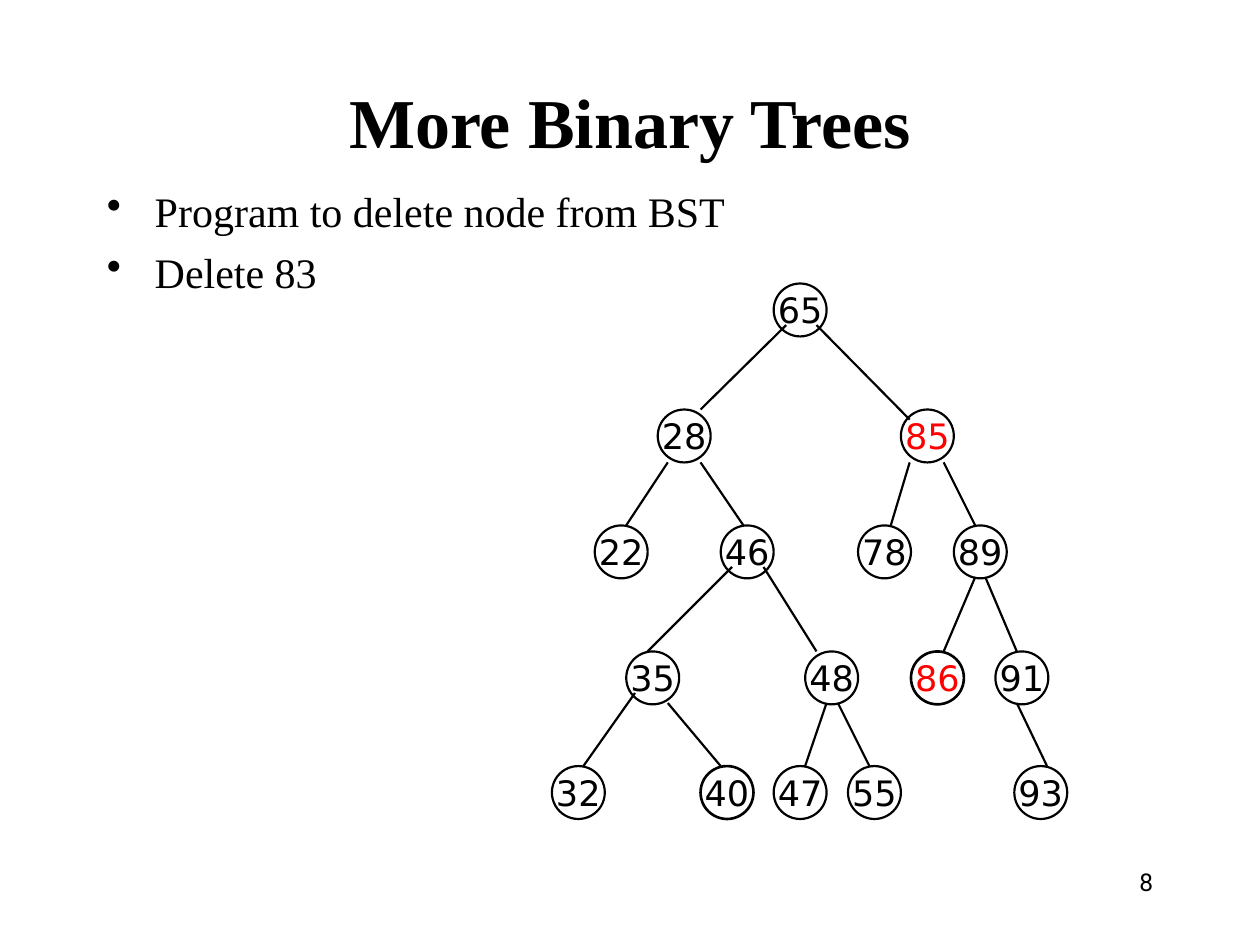
"""Build the slide about deleting a node from a binary search tree."""
import pptx
import pptx.dml.color
import pptx.enum.shapes
import pptx.enum.text
import pptx.oxml
import pptx.oxml.ns
import pptx.util

Inches = pptx.util.Inches
Pt = pptx.util.Pt
ALIGN = pptx.enum.text.PP_ALIGN
MIDDLE = pptx.enum.text.MSO_ANCHOR.MIDDLE
BLACK = pptx.dml.color.RGBColor(0, 0, 0)
RED = pptx.dml.color.RGBColor(255, 0, 0)
SERIF = "Times New Roman"
NODE_SIZE = 0.42

LEVELS = [
    (2.25, {65: 6.14}),
    (3.25, {28: 5.22, 85: 7.15}),
    (4.17, {22: 4.72, 46: 5.72, 78: 6.81, 89: 7.57}),
    (5.17, {35: 4.97, 48: 6.39, 86: 7.23, 91: 7.9}),
    (6.08, {32: 4.38, 40: 5.56, 47: 6.14, 55: 6.73, 93: 8.05}),
]
CHANGED = {85, 86}
HEAVY = {40, 86}

EDGES = [
    (6.24, 2.58, 5.56, 3.25), (6.48, 2.58, 7.22, 3.33),
    (5.3, 3.67, 4.97, 4.17), (5.56, 3.67, 5.9, 4.17),
    (7.22, 3.67, 7.07, 4.17), (7.49, 3.67, 7.74, 4.17),
    (5.81, 4.5, 5.14, 5.17), (6.06, 4.5, 6.48, 5.17),
    (7.74, 4.58, 7.49, 5.17), (7.82, 4.58, 8.07, 5.17),
    (5.04, 5.5, 4.63, 6.08), (5.3, 5.58, 5.72, 6.08),
    (6.56, 5.58, 6.39, 6.08), (6.65, 5.58, 6.9, 6.08),
    (8.07, 5.58, 8.31, 6.08),
]


def write(paragraph, text, font=SERIF, size=24, color=BLACK, bold=False, align=ALIGN.LEFT):
    """Add formatted text to a paragraph."""
    paragraph.alignment = align
    run = paragraph.add_run()
    run.text = text
    run.font.name = font
    run.font.size = Pt(size)
    run.font.bold = bold
    run.font.color.rgb = color


def place(shape, left, top, width, height):
    """Set the position and size of a shape."""
    shape.left, shape.top = Inches(left), Inches(top)
    shape.width, shape.height = Inches(width), Inches(height)


def add_title(slide, text):
    """Fill and format the title placeholder."""
    title = slide.shapes.title
    place(title, 0.75, 0.67, 8.5, 0.58)
    frame = title.text_frame
    frame.auto_size = pptx.enum.text.MSO_AUTO_SIZE.NONE
    frame.vertical_anchor = MIDDLE
    write(frame.paragraphs[0], text, size=40, bold=True, align=ALIGN.CENTER)


def add_text_frame(slide, left, top, width, height):
    """Add a wrapping text box and return its frame."""
    box = slide.shapes.add_textbox(Inches(left), Inches(top), Inches(width), Inches(height))
    box.text_frame.word_wrap = True
    return box.text_frame


def add_bullets(slide, items):
    """Add the bulleted list."""
    frame = add_text_frame(slide, 0.75, 1.42, 8.5, 5.25)
    for index, item in enumerate(items):
        paragraph = frame.add_paragraph() if index else frame.paragraphs[0]
        paragraph.space_before = Pt(6)
        write(paragraph, item)
        properties = paragraph._p.get_or_add_pPr()
        properties.set("marL", str(Inches(0.38)))
        properties.set("indent", str(-Inches(0.38)))
        bullet = pptx.oxml.parse_xml(f'<a:buChar {pptx.oxml.ns.nsdecls("a")} char="•"/>')
        properties.append(bullet)


def add_node(slide, key, left, top):
    """Add one tree node with its key."""
    node = slide.shapes.add_shape(
        pptx.enum.shapes.MSO_SHAPE.OVAL,
        Inches(left), Inches(top), Inches(NODE_SIZE), Inches(NODE_SIZE))
    node.shadow.inherit = False
    node.fill.background()
    node.line.color.rgb = BLACK
    node.line.width = Pt(1.5 if key in HEAVY else 1.25)
    frame = node.text_frame
    frame.word_wrap = False
    frame.vertical_anchor = MIDDLE
    write(frame.paragraphs[0], str(key), font="DejaVu Sans", size=20,
          color=RED if key in CHANGED else BLACK, align=ALIGN.CENTER)


def add_edge(slide, *ends):
    """Add a line from a parent to its child."""
    edge = slide.shapes.add_connector(
        pptx.enum.shapes.MSO_CONNECTOR.STRAIGHT, *map(Inches, ends))
    edge.line.color.rgb = BLACK
    edge.line.width = Pt(1.25)
    effects = pptx.oxml.parse_xml(f'<a:effectLst {pptx.oxml.ns.nsdecls("a")}/>')
    edge._element.spPr.append(effects)


def main():
    """Build and save the slide."""
    deck = pptx.Presentation()
    deck.slide_width, deck.slide_height = Inches(10), Inches(7.5)
    slide = deck.slides.add_slide(deck.slide_layouts[5])
    page_number = add_text_frame(slide, 7.17, 6.83, 2.08, 0.5)
    write(page_number.paragraphs[0], "8", font="Roboto", size=14, align=ALIGN.RIGHT)
    add_title(slide, "More Binary Trees")
    add_bullets(slide, ["Program to delete node from BST", "Delete 83"])
    for top, nodes in LEVELS:
        for key, left in nodes.items():
            add_node(slide, key, left, top)
    for ends in EDGES:
        add_edge(slide, *ends)
    deck.save("out.pptx")


main()
